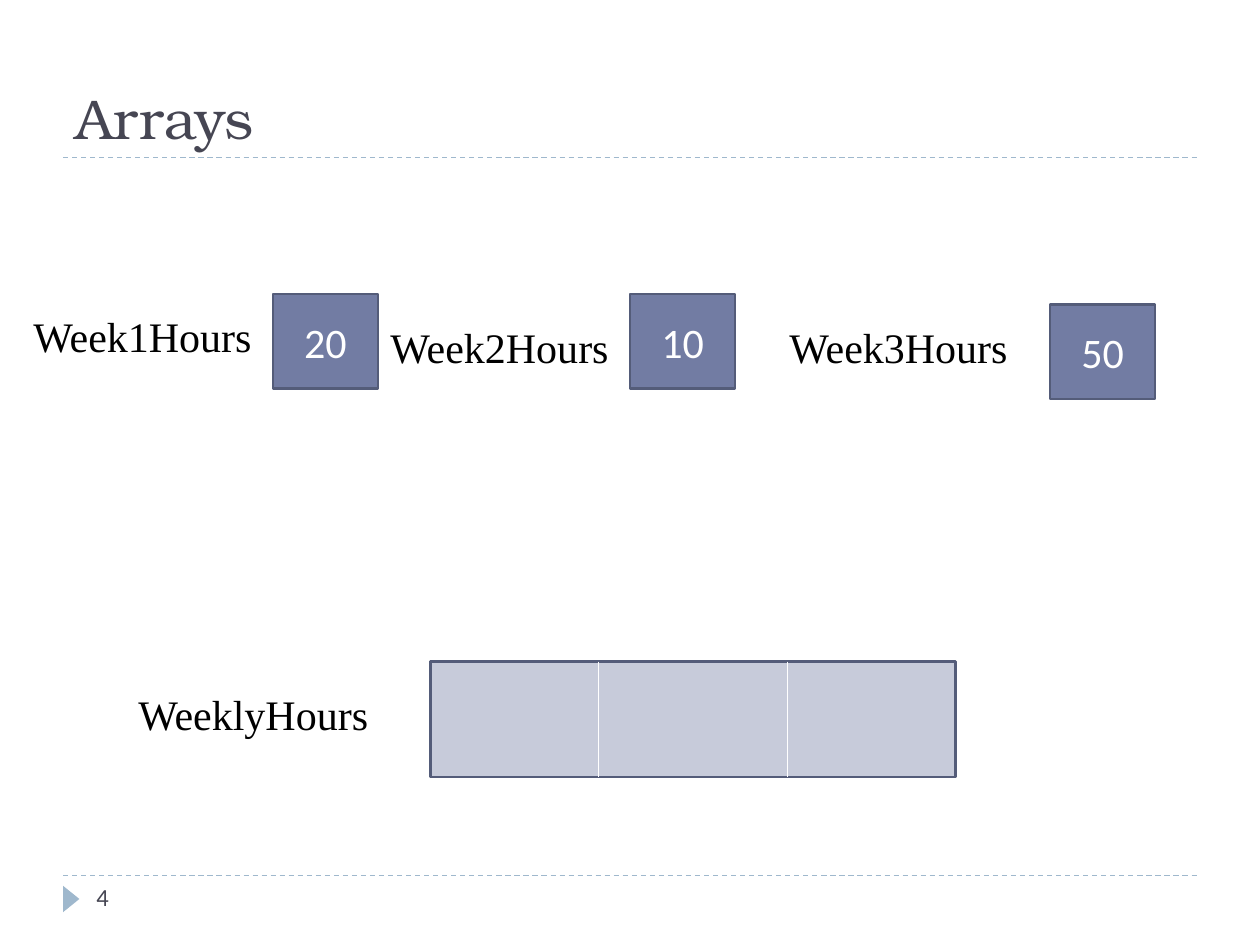
from lxml import etree
from pptx import Presentation
from pptx.dml.color import RGBColor
from pptx.enum.dml import MSO_LINE
from pptx.enum.shapes import MSO_CONNECTOR, MSO_SHAPE
from pptx.enum.text import MSO_ANCHOR, MSO_AUTO_SIZE, PP_ALIGN
from pptx.oxml.ns import qn
from pptx.util import Inches, Pt

STRAIGHT = MSO_CONNECTOR.STRAIGHT
RECTANGLE = MSO_SHAPE.RECTANGLE
TRIANGLE = MSO_SHAPE.ISOSCELES_TRIANGLE
DASH = MSO_LINE.DASH
LEFT, CENTER = PP_ALIGN.LEFT, PP_ALIGN.CENTER
TOP, MIDDLE, BOTTOM = MSO_ANCHOR.TOP, MSO_ANCHOR.MIDDLE, MSO_ANCHOR.BOTTOM

COLORS = {
    "rule": "9FB8CD", "heading": "464653", "box": "727CA3", "border": "545C79",
    "array": "C7CBDA", "white": "FFFFFF", "black": "000000",
}
COLOR = {name: RGBColor.from_string(value) for name, value in COLORS.items()}

presentation = Presentation()
presentation.slide_width, presentation.slide_height = Inches(10), Inches(7.5)
UNIT = presentation.slide_width // 120  # the slide is a grid of 120 columns by 90 rows
slide = presentation.slides.add_slide(presentation.slide_layouts[5])
shapes = slide.shapes


def write(shape, text, size=24, font="Calibri", color="white",
          align=LEFT, anchor=TOP, wrap=True):
    frame = shape.text_frame
    frame.word_wrap = wrap
    frame.vertical_anchor = anchor
    frame.auto_size = MSO_AUTO_SIZE.NONE if wrap else MSO_AUTO_SIZE.SHAPE_TO_FIT_TEXT
    paragraph = frame.paragraphs[0]
    paragraph.alignment = align
    run = paragraph.add_run()
    run.text = text
    run.font.name, run.font.size = font, Pt(size)
    run.font.color.rgb = COLOR[color]


def draw_line(start_column, start_row, end_column, end_row, color, dash=None):
    line = shapes.add_connector(STRAIGHT, *(
        round(value * UNIT) for value in (start_column, start_row, end_column, end_row)))
    line.line.color.rgb = COLOR[color]
    line.line.width = Pt(0.75)
    line.line.dash_style = dash
    etree.SubElement(line._element.spPr, qn("a:effectLst"))


# Title, rules and slide number
for row in (83.4, 15):
    draw_line(6, row, 114, row, "rule", DASH)

marker = shapes.add_shape(TRIANGLE, Inches(0.46), Inches(7.07), Inches(0.21), Inches(0.13))
marker.rotation = 90
marker.shadow.inherit = False
marker.fill.solid()
marker.fill.fore_color.rgb = COLOR["rule"]
marker.line.fill.background()

title = shapes.title
title.left, title.top, title.width, title.height = 6 * UNIT, 2 * UNIT, 108 * UNIT, 13 * UNIT
write(title, "Arrays", size=32, font="TeX Gyre Bonum", color="heading", anchor=BOTTOM)

number = shapes.add_textbox(8 * UNIT, Inches(6.95), 26 * UNIT, Inches(0.4))
write(number, "4", size=14, color="heading")

# Separate variables, then the array: column, row, width, height, fill, value
boxes = [
    (26, 28, 10, 9, "box", "20"),
    (60, 28, 10, 9, "box", "10"),
    (100, 29, 10, 9, "box", "50"),
    (41, 63, 50, 11, "array", None),
]
for column, row, width, height, fill, value in boxes:
    box = shapes.add_shape(RECTANGLE, column * UNIT, row * UNIT, width * UNIT, height * UNIT)
    box.shadow.inherit = False
    box.fill.solid()
    box.fill.fore_color.rgb = COLOR[fill]
    box.line.color.rgb = COLOR["border"]
    box.line.width = Pt(1.5)
    if value:
        write(box, value, align=CENTER, anchor=MIDDLE)

for column in (57, 75):
    draw_line(column, 63, column, 74, "white")

# Variable names: text, column, row, width in inches
labels = [
    ("Week1Hours", 2, 29, 1.95),
    ("Week3Hours", 74, 30, 1.95),
    ("Week2Hours", 36, 30, 1.95),
    ("WeeklyHours", 12, 65, 2.04),
]
for text, column, row, width in labels:
    label = shapes.add_textbox(column * UNIT, row * UNIT, Inches(width), 6 * UNIT)
    write(label, text, font="Times New Roman", color="black", wrap=False)

presentation.save("out.pptx")
